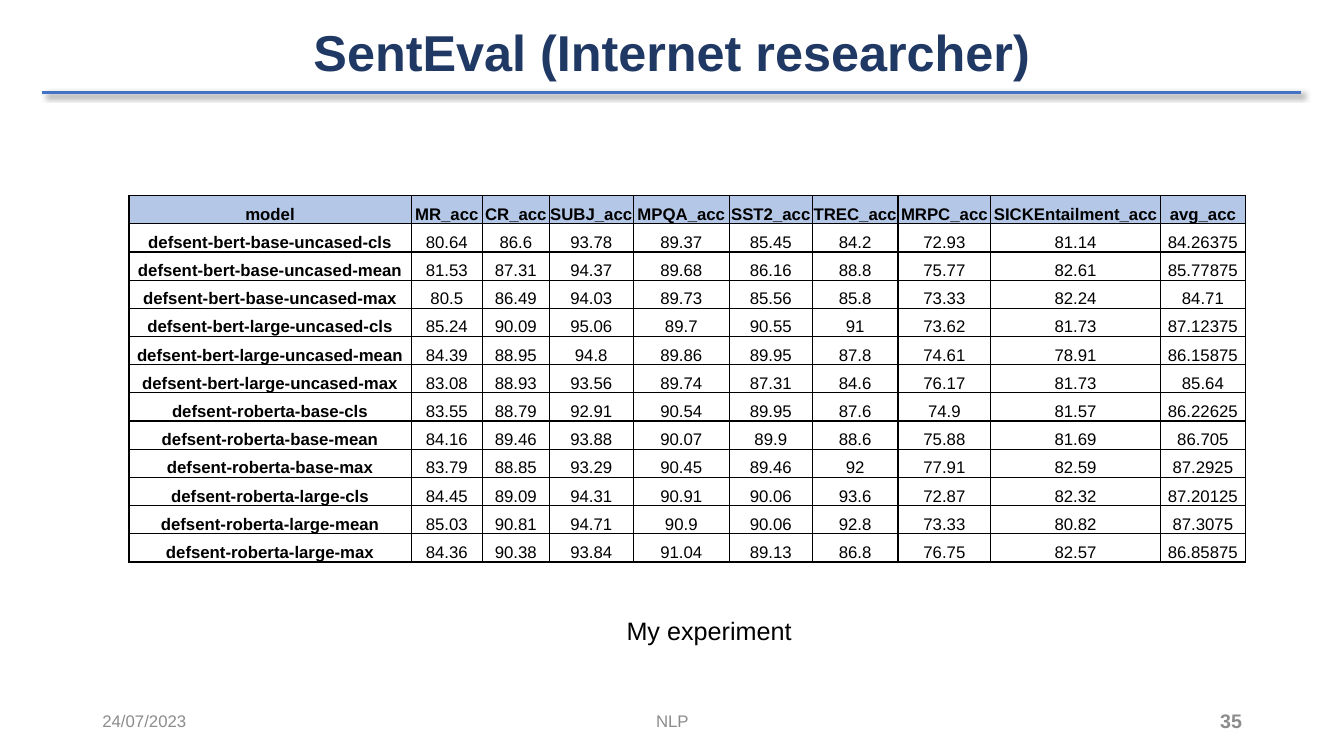
import dataclasses

import pptx
import pptx.dml.color
import pptx.enum.shapes
import pptx.enum.text
import pptx.oxml
import pptx.oxml.ns
import pptx.slide
import pptx.table
import pptx.text.text
import pptx.util

Cm = pptx.util.Cm
Align = pptx.enum.text.PP_ALIGN
Anchor = pptx.enum.text.MSO_ANCHOR

COLORS = {
    "navy": "203864",
    "rule": "4472C4",
    "head": "B4C7E7",
    "gray": "8C8C8C",
    "black": "000000",
    "white": "FFFFFF",
}
WIDTHS = [7.11, 1.8, 1.68, 2.12, 2.42, 2.09, 2.16, 2.34, 4.27, 2.15]
ROW_HIGH = 0.71
HEADS = ["model", "MR_acc", "CR_acc", "SUBJ_acc", "MPQA_acc", "SST2_acc",
         "TREC_acc", "MRPC_acc", "SICKEntailment_acc", "avg_acc"]
SCORES = {
    "bert-base-uncased-cls": [80.64, 86.6, 93.78, 89.37, 85.45, 84.2, 72.93, 81.14, 84.26375],
    "bert-base-uncased-mean": [81.53, 87.31, 94.37, 89.68, 86.16, 88.8, 75.77, 82.61, 85.77875],
    "bert-base-uncased-max": [80.5, 86.49, 94.03, 89.73, 85.56, 85.8, 73.33, 82.24, 84.71],
    "bert-large-uncased-cls": [85.24, 90.09, 95.06, 89.7, 90.55, 91, 73.62, 81.73, 87.12375],
    "bert-large-uncased-mean": [84.39, 88.95, 94.8, 89.86, 89.95, 87.8, 74.61, 78.91, 86.15875],
    "bert-large-uncased-max": [83.08, 88.93, 93.56, 89.74, 87.31, 84.6, 76.17, 81.73, 85.64],
    "roberta-base-cls": [83.55, 88.79, 92.91, 90.54, 89.95, 87.6, 74.9, 81.57, 86.22625],
    "roberta-base-mean": [84.16, 89.46, 93.88, 90.07, 89.9, 88.6, 75.88, 81.69, 86.705],
    "roberta-base-max": [83.79, 88.85, 93.29, 90.45, 89.46, 92, 77.91, 82.59, 87.2925],
    "roberta-large-cls": [84.45, 89.09, 94.31, 90.91, 90.06, 93.6, 72.87, 82.32, 87.20125],
    "roberta-large-mean": [85.03, 90.81, 94.71, 90.9, 90.06, 92.8, 73.33, 80.82, 87.3075],
    "roberta-large-max": [84.36, 90.38, 93.84, 91.04, 89.13, 86.8, 76.75, 82.57, 86.85875],
}


@dataclasses.dataclass
class Label:
    text: str
    left: float
    top: float
    wide: float
    high: float
    size: float
    color: str
    bold: bool = False
    align: Align = Align.LEFT
    anchor: Anchor = Anchor.TOP
    space: float = 1.0
    grow: bool = False


LABELS = [
    Label("24/07/2023", 2.33, 17.65, 7.62, 1.02, 12, "gray", anchor=Anchor.MIDDLE),
    Label("NLP", 11.23, 17.65, 11.43, 1.02, 12, "gray",
          align=Align.CENTER, anchor=Anchor.MIDDLE),
    Label("35", 23.93, 17.65, 7.62, 1.02, 14, "gray", bold=True,
          align=Align.RIGHT, anchor=Anchor.MIDDLE),
    Label("SentEval (Internet researcher)", 2.33, 0.58, 29.21, 3.68, 36, "navy",
          bold=True, align=Align.CENTER, space=0.9),
    Label("My experiment", 15.54, 15.37, 6.53, 1.02, 18, "black", grow=True),
]


def paint(color: str) -> pptx.dml.color.RGBColor:
    return pptx.dml.color.RGBColor.from_string(COLORS[color])


def write(frame: pptx.text.text.TextFrame, text: str, *, size: float,
          color: str = "black", bold: bool = False,
          align: Align = Align.LEFT, space: float = 1.0) -> None:
    para = frame.paragraphs[0]
    para.alignment = align
    para.line_spacing = space
    run = para.add_run()
    run.text = text
    run.font.name = "Arial"
    run.font.size = pptx.util.Pt(size)
    run.font.bold = bold
    run.font.color.rgb = paint(color)


def add_label(slide: pptx.slide.Slide, label: Label) -> None:
    box = slide.shapes.add_textbox(
        Cm(label.left), Cm(label.top), Cm(label.wide), Cm(label.high))
    frame = box.text_frame
    frame.word_wrap = True
    frame.vertical_anchor = label.anchor
    if label.grow:
        frame.auto_size = pptx.enum.text.MSO_AUTO_SIZE.SHAPE_TO_FIT_TEXT
    write(frame, label.text, size=label.size, color=label.color,
          bold=label.bold, align=label.align, space=label.space)


def add_rule(slide: pptx.slide.Slide) -> None:
    """Draw the line under the title, with its soft shadow."""
    rule = slide.shapes.add_connector(
        pptx.enum.shapes.MSO_CONNECTOR.STRAIGHT,
        Cm(1.07), Cm(2.32), Cm(32.79), Cm(2.32))
    rule.line.color.rgb = paint("rule")
    rule.line.width = pptx.util.Pt(2.25)
    rule._element.spPr.append(pptx.oxml.parse_xml(
        f'<a:effectLst {pptx.oxml.ns.nsdecls("a")}>'
        f'<a:outerShdw blurRad="{pptx.util.Pt(4)}" dist="{pptx.util.Pt(3)}" '
        'dir="2700000" algn="tl" rotWithShape="0">'
        f'<a:srgbClr val="{COLORS["black"]}"><a:alpha val="40000"/></a:srgbClr>'
        '</a:outerShdw></a:effectLst>'))


def add_edges(cell: pptx.table._Cell) -> None:
    props = cell._tc.get_or_add_tcPr()
    for index, side in enumerate(("lnL", "lnR", "lnT", "lnB")):
        props.insert(index, pptx.oxml.parse_xml(
            f'<a:{side} {pptx.oxml.ns.nsdecls("a")} w="{pptx.util.Pt(1)}">'
            f'<a:solidFill><a:srgbClr val="{COLORS["black"]}"/></a:solidFill>'
            f'</a:{side}>'))


def fill_cell(cell: pptx.table._Cell, text: str, head: bool, bold: bool) -> None:
    cell.margin_left = cell.margin_right = cell.margin_top = Cm(0.02)
    cell.margin_bottom = 0
    cell.vertical_anchor = Anchor.BOTTOM
    cell.fill.solid()
    cell.fill.fore_color.rgb = paint("head" if head else "white")
    add_edges(cell)
    write(cell.text_frame, text, size=12, bold=bold, align=Align.CENTER)


def add_scores(slide: pptx.slide.Slide) -> None:
    rows = [HEADS] + [[f"defsent-{model}", *map(str, marks)]
                      for model, marks in SCORES.items()]
    table = slide.shapes.add_table(
        len(rows), len(WIDTHS), Cm(3.25), Cm(4.93),
        Cm(sum(WIDTHS)), Cm(ROW_HIGH * len(rows))).table
    table.horz_banding = False
    for column, wide in zip(table.columns, WIDTHS):
        column.width = Cm(wide)
    for r, row in enumerate(rows):
        table.rows[r].height = Cm(ROW_HIGH)
        for c, text in enumerate(row):
            fill_cell(table.cell(r, c), text, head=r == 0, bold=r == 0 or c == 0)


def main() -> None:
    deck = pptx.Presentation()
    deck.slide_width, deck.slide_height = Cm(33.87), Cm(19.05)
    slide = deck.slides.add_slide(deck.slide_layouts[6])
    add_rule(slide)
    for label in LABELS:
        add_label(slide, label)
    add_scores(slide)
    deck.save("out.pptx")


if __name__ == "__main__":
    main()
